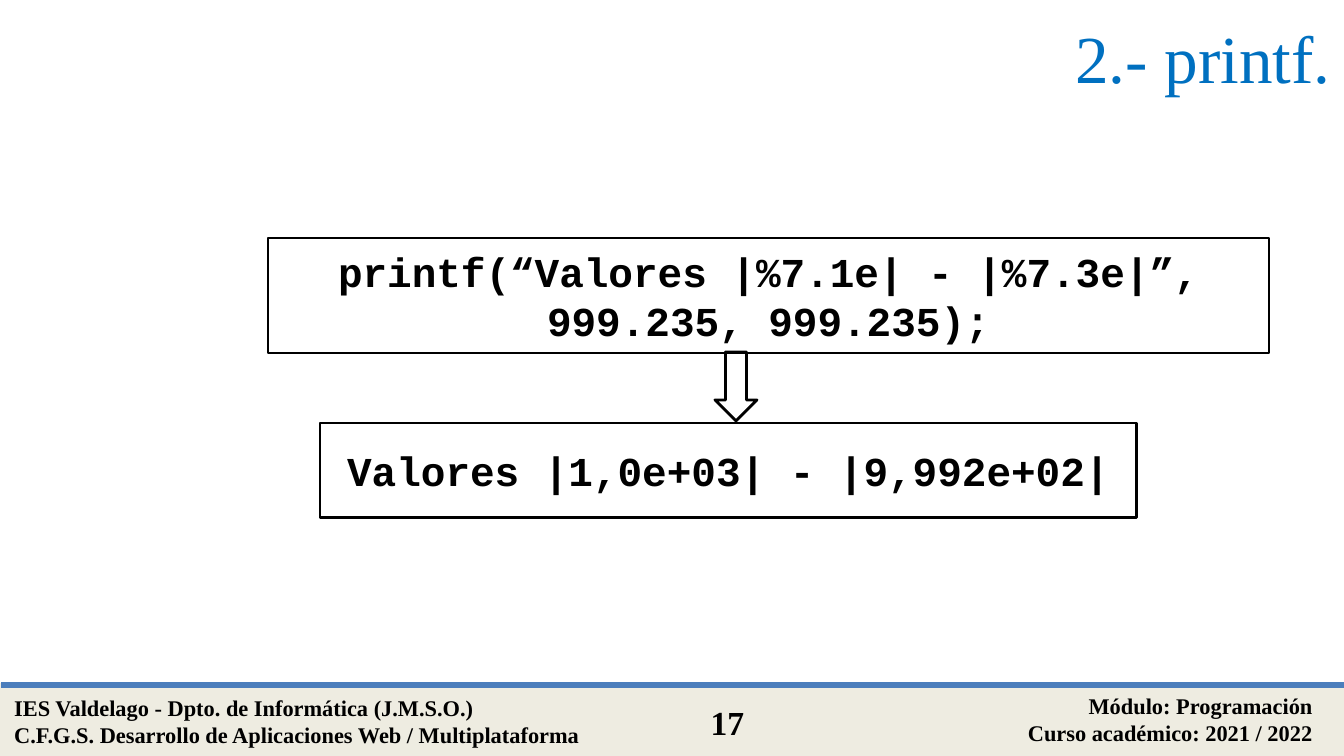
"""Build the printf slide with its code boxes and course footer."""
from lxml import etree
from pptx import Presentation
from pptx.dml.color import RGBColor
from pptx.enum.shapes import MSO_CONNECTOR, MSO_SHAPE
from pptx.enum.text import MSO_ANCHOR, PP_ALIGN
from pptx.oxml.ns import qn
from pptx.util import Pt

LEFT, MID, RIGHT = PP_ALIGN.LEFT, PP_ALIGN.CENTER, PP_ALIGN.RIGHT
TOP, CENTER = MSO_ANCHOR.TOP, MSO_ANCHOR.MIDDLE
RECT, DOWN = MSO_SHAPE.RECTANGLE, MSO_SHAPE.DOWN_ARROW
STRAIGHT = MSO_CONNECTOR.STRAIGHT

WIDE, HIGH = 1344, 756
SCALE = 914400 / 134.4
BAR = 685
SERIF, MONO = "Times New Roman", "Courier New"
BLACK, BLUE, RULE, SAND = "000000", "0070C0", "4B7EBC", "EEECE1"

FOOT = {"name": SERIF, "size": Pt(12), "bold": True}
PAGE = {"name": SERIF, "size": Pt(18), "bold": True}
CODE = {"name": MONO, "size": Pt(22), "bold": True}
HEAD = {"name": SERIF, "size": Pt(36), "bold": False}

SHAPES = [
    (RECT, (1, BAR, WIDE, HIGH - BAR), SAND, SAND, 2, []),
    (RECT, (320, 423, 817, 95), None, BLACK, 1.5,
     ["Valores |1,0e+03| - |9,992e+02|"]),
    (DOWN, (715, 352, 42, 69), None, BLACK, 1.5, []),
    (RECT, (268, 238, 1001, 115), None, BLACK, 1.5,
     ["printf(“Valores |%7.1e| - |%7.3e|”, 999.235, 999.235);"]),
]
TEXTS = [
    ((1, 688, 626, 67), FOOT, BLACK, LEFT, TOP,
     ["IES Valdelago - Dpto. de Informática (J.M.S.O.)",
      "C.F.G.S. Desarrollo de Aplicaciones Web / Multiplataforma"]),
    ((789, 686, 537, 67), FOOT, BLACK, RIGHT, TOP,
     ["Módulo: Programación", "Curso académico: 2021 / 2022"]),
    ((673, 695, 109, 54), PAGE, BLACK, MID, TOP, ["17"]),
    ((177, 0, 1167, 113), HEAD, BLUE, RIGHT, CENTER, ["2.- printf."]),
]


def px(*nums):
    return [round(num * SCALE) for num in nums]


def color(code):
    return RGBColor.from_string(code)


def write(shape, lines, style, tint, align, anchor):
    frame = shape.text_frame
    frame.word_wrap = True
    frame.vertical_anchor = anchor
    frame.text = "\n".join(lines)
    for para in frame.paragraphs:
        para.alignment = align
        para.font.color.rgb = color(tint)
        for key, value in style.items():
            setattr(para.font, key, value)


def edge(item, tint, width):
    item.line.color.rgb = color(tint)
    item.line.width = Pt(width)


def draw(slide, kind, box, fill, tint, width, lines):
    shape = slide.shapes.add_shape(kind, *px(*box))
    shape.shadow.inherit = False
    if fill:
        shape.fill.solid()
        shape.fill.fore_color.rgb = color(fill)
    else:
        shape.fill.background()
    edge(shape, tint, width)
    if lines:
        write(shape, lines, CODE, BLACK, MID, CENTER)


def rule(slide):
    line = slide.shapes.add_connector(STRAIGHT, *px(1, BAR, WIDE + 1, BAR))
    edge(line, RULE, 3)
    etree.SubElement(line._element.spPr, qn("a:effectLst"))


def main():
    deck = Presentation()
    deck.slide_width, deck.slide_height = px(WIDE, HIGH)
    slide = deck.slides.add_slide(deck.slide_layouts[6])
    for item in SHAPES:
        draw(slide, *item)
    rule(slide)
    for box, style, tint, align, anchor, lines in TEXTS:
        shape = slide.shapes.add_textbox(*px(*box))
        write(shape, lines, style, tint, align, anchor)
    deck.save("out.pptx")


if __name__ == "__main__":
    main()
